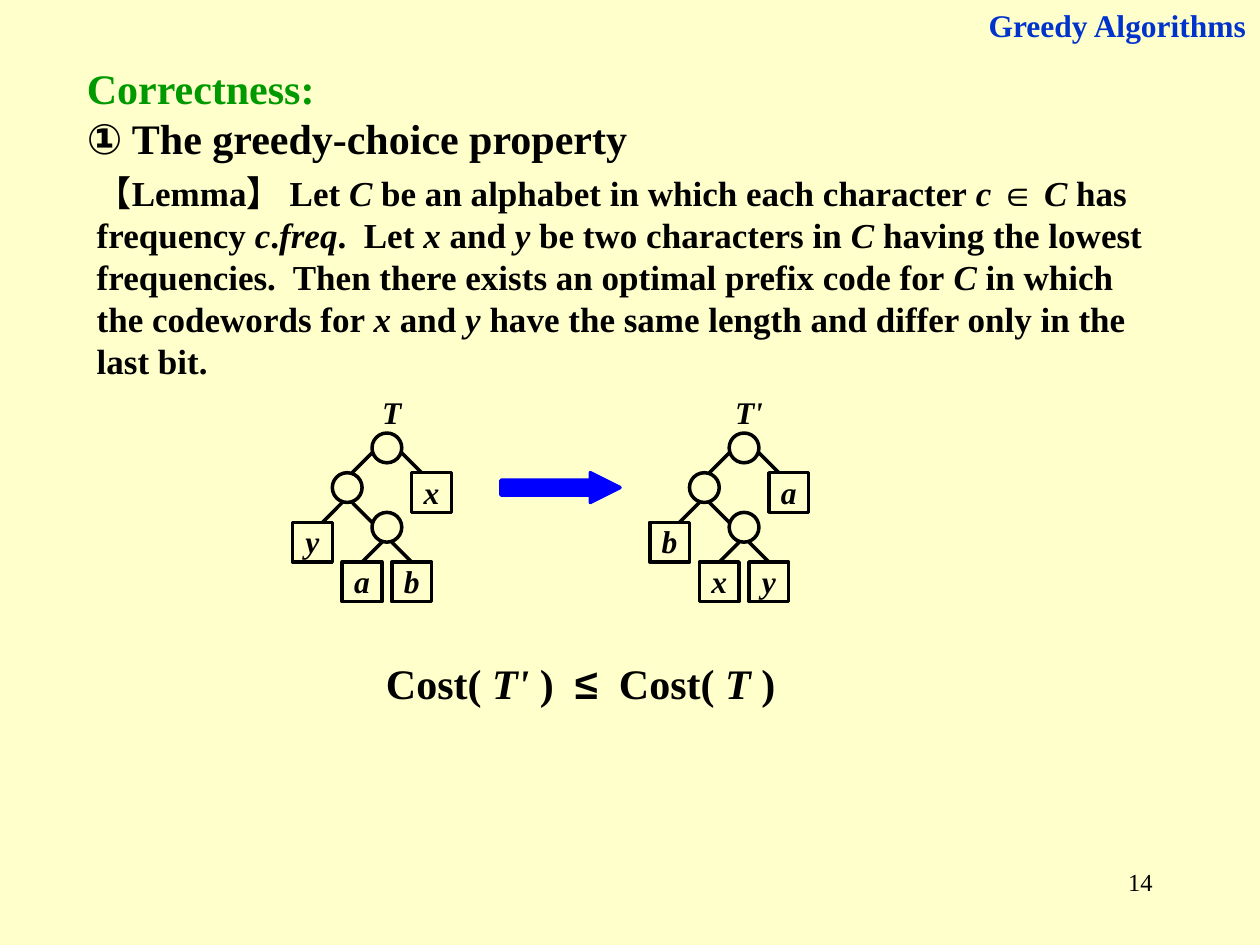
from itertools import groupby

from lxml.etree import SubElement
from pptx import Presentation
from pptx.dml.color import RGBColor
from pptx.enum.shapes import MSO_CONNECTOR as Link, MSO_SHAPE as Shape
from pptx.enum.text import MSO_ANCHOR as Anchor, MSO_AUTO_SIZE as Auto, PP_ALIGN as Align
from pptx.oxml.ns import qn
from pptx.util import Cm, Pt

SERIF = "Times New Roman"
GLYPHS = {"①": "Arial", "∈": "Arial", "≤": "Arial",
          "【": "Noto Sans CJK SC", "】": "Noto Sans CJK SC"}
WIDE = (0.25, 0.13, 0.25, 0.13)
TIGHT = (0.05, 0, 0.05, 0.03)


def color(code):
    """Turn a hex string into a colour."""
    return RGBColor.from_string(code)


class Deck:
    """Holds the style and the current slide."""

    ink, paper, stroke = "000000", "FFFFCC", 2

    def __init__(self):
        """Start a file with one slide."""
        self.file = Presentation()
        self.file.slide_width, self.file.slide_height = Cm(25.4), Cm(19.05)
        self.slide = self.file.slides.add_slide(self.file.slide_layouts[1])
        fill = self.slide.background.fill
        fill.solid()
        fill.fore_color.rgb = color(self.paper)
        self.shapes = self.slide.shapes

    def group(self):
        """Send the next shapes to a new group."""
        self.shapes = self.slide.shapes.add_group_shape().shapes

    def leave(self):
        """Send the next shapes to the slide itself."""
        self.shapes = self.slide.shapes

    def words(self, par, text, size, tint=None, bold=True, align=Align.LEFT):
        """Fill a paragraph; stars enclose italic words."""
        par.alignment, par.space_before = align, Pt(0)
        for num, part in enumerate(text.split("*")):
            for face, chars in groupby(part, lambda ch: GLYPHS.get(ch, SERIF)):
                run = par.add_run()
                run.text = "".join(chars)
                font = run.font
                font.name, font.size = face, Pt(size)
                font.bold, font.italic = bold, num % 2 == 1
                font.color.rgb = color(tint or self.ink)
                if face != SERIF:
                    SubElement(run._r.get_or_add_rPr(), qn("a:ea"), typeface=face)

    def frame(self, shape, pads=WIDE):
        """Set up the text frame of a shape."""
        frame = shape.text_frame
        frame.word_wrap, frame.auto_size = True, Auto.NONE
        frame.vertical_anchor = Anchor.TOP
        (frame.margin_left, frame.margin_top,
         frame.margin_right, frame.margin_bottom) = map(Cm, pads)
        return frame

    def place(self, index, x, y, wide, high):
        """Move a placeholder and return its text frame."""
        shape = self.slide.placeholders[index]
        shape.left, shape.top = Cm(x), Cm(y)
        shape.width, shape.height = Cm(wide), Cm(high)
        return self.frame(shape)

    def title(self, text, x, y, wide, high):
        """Set the slide title."""
        frame = self.place(0, x, y, wide, high)
        self.words(frame.paragraphs[0], text, 18, "0033CC", align=Align.RIGHT)

    def body(self, lines, x, y, wide, high):
        """Set pairs of text and colour in the body."""
        frame = self.place(1, x, y, wide, high)
        for num, (text, tint) in enumerate(lines):
            par = frame.add_paragraph() if num else frame.paragraphs[0]
            self.words(par, text, 24, tint)
            props = par._p.get_or_add_pPr()
            props.set("marL", str(Cm(0.8)))
            props.set("indent", str(-Cm(0.8)))
            SubElement(props, qn("a:buNone"))

    def text(self, text, x, y, wide, high, size, pads=WIDE, **look):
        """Add a text box."""
        box = self.shapes.add_textbox(Cm(x), Cm(y), Cm(wide), Cm(high))
        self.words(self.frame(box, pads).paragraphs[0], text, size, **look)

    def shape(self, kind, x, y, wide, high, tint=None, label=None):
        """Add an outlined shape, filled if a tint is given."""
        item = self.shapes.add_shape(kind, Cm(x), Cm(y), Cm(wide), Cm(high))
        item.shadow.inherit = False
        item.line.color.rgb = color(tint or self.ink)
        item.line.width = Pt(self.stroke)
        if tint:
            item.fill.solid()
            item.fill.fore_color.rgb = color(tint)
        else:
            item.fill.background()
        if label:
            par = self.frame(item, TIGHT).paragraphs[0]
            self.words(par, f"*{label}*", 18, align=Align.CENTER)
        return item

    def line(self, x1, y1, x2, y2):
        """Add a straight line."""
        item = self.shapes.add_connector(Link.STRAIGHT, Cm(x1), Cm(y1), Cm(x2), Cm(y2))
        item.line.color.rgb = color(self.ink)
        item.line.width = Pt(self.stroke)
        SubElement(item._element.spPr, qn("a:effectLst"))


NODES = [(1.6, 0.8), (0.8, 1.6), (1.6, 2.4)]
LEAVES = [(0, 2.6), (2.4, 1.6), (1, 3.4), (2, 3.4)]
# Start of each edge and its sideways direction
EDGES = [(1.6, 1.2, -1), (2.2, 1.2, 1), (1, 2.2, -1),
         (1.2, 2.2, 1), (1.8, 3, -1), (2, 3, 1)]
STEP = 0.4


def tree(deck, name, leaves, x, y):
    """Draw a code tree with its name and four leaves."""
    deck.group()
    for dx, dy in NODES:
        deck.shape(Shape.OVAL, x + dx, y + dy, 0.6, 0.6)
    for dx, dy, way in EDGES:
        deck.line(x + dx, y + dy, x + dx + way * STEP, y + dy + STEP)
    for (dx, dy), label in zip(LEAVES, leaves):
        deck.shape(Shape.RECTANGLE, x + dx, y + dy, 0.8, 0.8, label=label)
    deck.text(f"*{name}*", x + 1.4, y, 1.2, 0.8, 18, TIGHT, align=Align.CENTER)
    deck.leave()


LEMMA = ("【Lemma】 Let *C* be an alphabet in which each character *c *∈ *C*"
         " has frequency *c*.*freq*.  Let *x* and *y* be two characters in *C*"
         " having the lowest frequencies.  Then there exists an optimal prefix"
         " code for *C* in which the codewords for *x* and *y* have the same"
         " length and differ only in the last bit.")

deck = Deck()
deck.title("Greedy Algorithms", 19.1, 0, 6.27, 1.02)
deck.body([("Correctness:", "009900"), ("① The greedy-choice property", None)],
          1.5, 1.12, 20.96, 2.29)
deck.text(LEMMA, 1.7, 3.33, 21.59, 4.5, 20)
left, top, gap = 5.9, 7.93, 7.2
tree(deck, "T", "yxab", left, top)
tree(deck, "T'", "baxy", left + gap, top)
arrow = deck.shape(Shape.RIGHT_ARROW, left + 4.2, top + 1.6, 2.4, 0.6, "0000FF")
arrow.adjustments[0], arrow.adjustments[1] = 0.5, 1
deck.text("Cost( *T'* )  ≤  Cost( *T *)", 7.3, 13.13, 8.81, 1.27, 24, align=Align.CENTER)
deck.text("14", 18.21, 17.35, 5.28, 1.27, 14, bold=False, align=Align.RIGHT)
deck.file.save("out.pptx")
